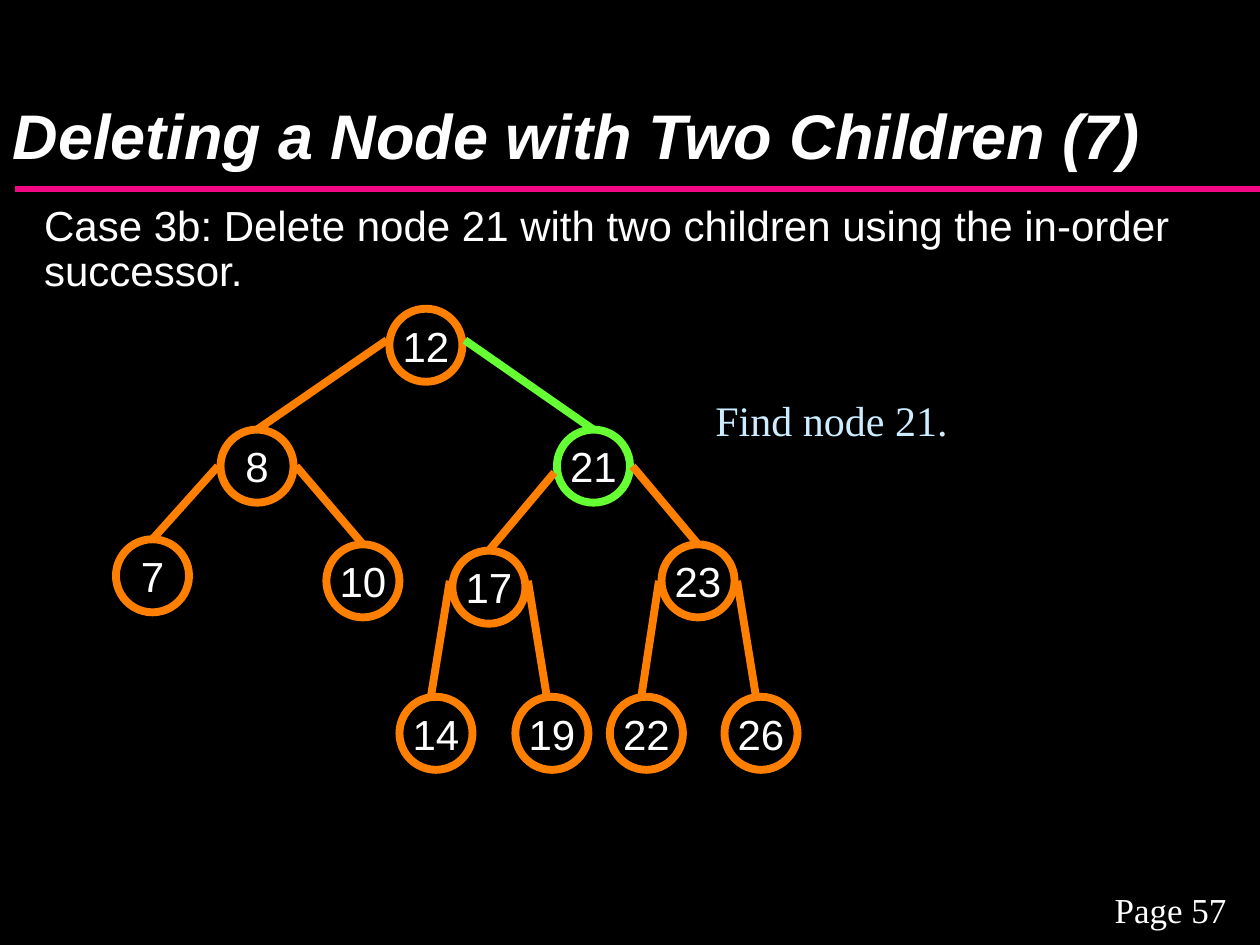
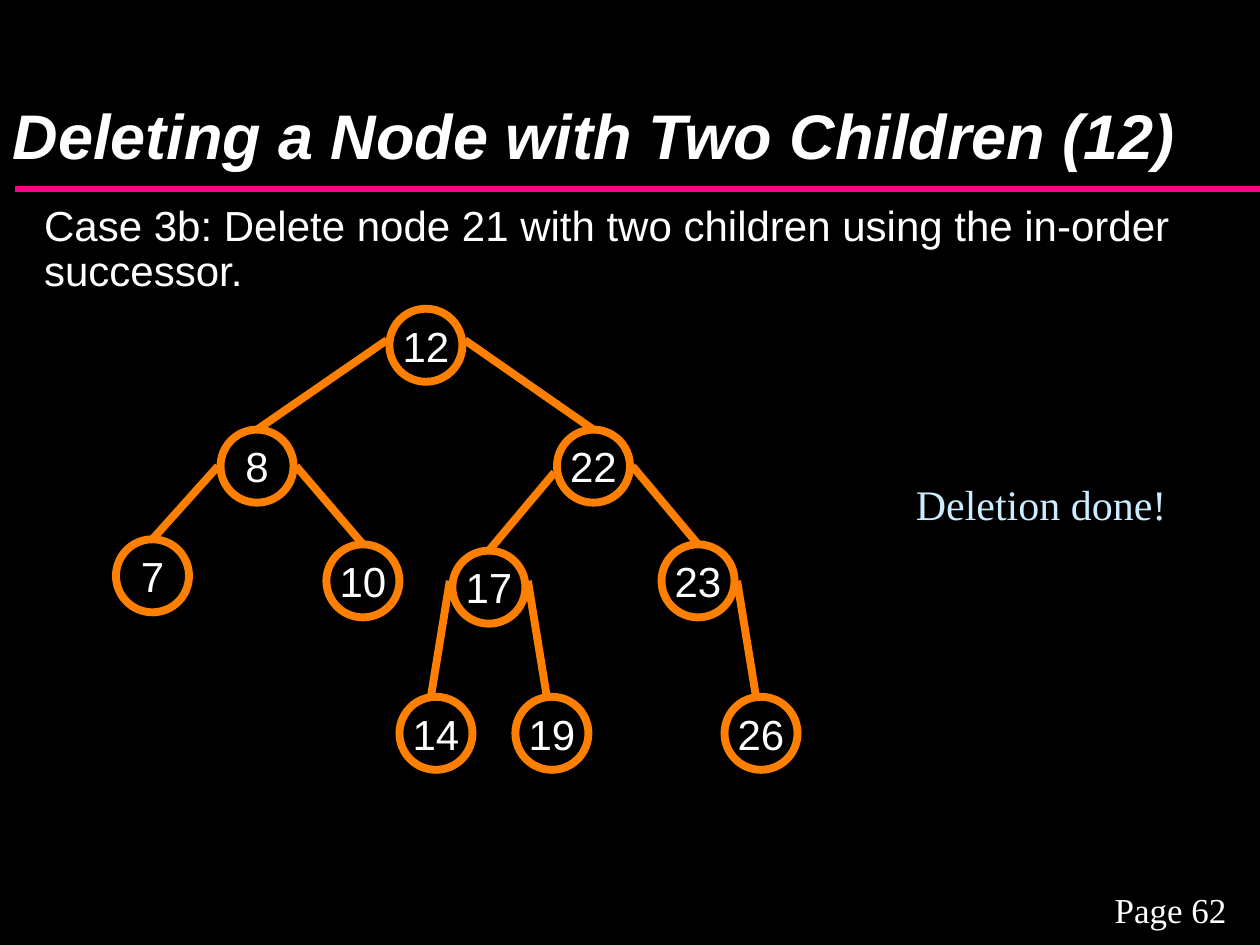
from pptx import Presentation
from pptx.dml.color import RGBColor
from pptx.enum.shapes import MSO_CONNECTOR, MSO_SHAPE
from pptx.enum.text import MSO_ANCHOR, MSO_AUTO_SIZE, PP_ALIGN
from pptx.oxml.ns import qn
from pptx.util import Inches, Pt

STRAIGHT, OVAL = MSO_CONNECTOR.STRAIGHT, MSO_SHAPE.OVAL
LEFT, CENTER = PP_ALIGN.LEFT, PP_ALIGN.CENTER
TOP, MIDDLE, BOTTOM = MSO_ANCHOR.TOP, MSO_ANCHOR.MIDDLE, MSO_ANCHOR.BOTTOM
NO_AUTOFIT = MSO_AUTO_SIZE.NONE

BLACK, WHITE, PINK = "000000", "FFFFFF", "F20884"
ORANGE, GREEN, PALE_BLUE = "FF8000", "66FF33", "CCECFF"
SANS, SERIF = "Arial", "Times New Roman"

TASK = "Case 3b: Delete node 21 with two children using the in-order successor."

NODE_SIZE = 0.58
SIDE_GAP = 0.02
STROKE = 4.5

# Top-left corner of each place in the tree, named by the path from the root.
PLACES = {
    "root": (3.09, 2.45),
    "L": (1.75, 3.41), "R": (4.42, 3.41),
    "LL": (0.92, 4.28), "LR": (2.59, 4.32),
    "RL": (3.59, 4.37), "RR": (5.25, 4.32),
    "RLL": (3.17, 5.53), "RLR": (4.09, 5.53),
    "RRL": (4.84, 5.53), "RRR": (5.75, 5.53),
}
# How far below the parent's top the edge to each child starts.
EDGE_DROPS = {
    "L": 0.25, "R": 0.25, "LL": 0.29, "LR": 0.29, "RL": 0.34, "RR": 0.29,
    "RLL": 0.24, "RLR": 0.24, "RRL": 0.29, "RRR": 0.29,
}
LEAF_LEAN = 0.04  # edges to the lowest row meet the circle left of its centre

TREE_BEFORE = {
    "root": "12", "L": "8", "R": "21", "LL": "7", "LR": "10", "RL": "17",
    "RR": "23", "RLL": "14", "RLR": "19", "RRL": "22", "RRR": "26",
}
TREE_AFTER = {place: key for place, key in TREE_BEFORE.items() if place != "RRL"}
TREE_AFTER["R"] = TREE_BEFORE["RRL"]


def color(hex_code):
    return RGBColor.from_string(hex_code)


def write_text(shape, text, *, size=24, font=SANS, ink=WHITE, bold=False,
               italic=False, align=LEFT, anchor=TOP, wrap=True,
               insets=(0.1, 0.05), line_spacing=None, no_bullet_indent=None):
    frame = shape.text_frame
    frame.auto_size = NO_AUTOFIT
    frame.word_wrap = wrap
    frame.vertical_anchor = anchor
    frame.margin_left = frame.margin_right = Inches(insets[0])
    frame.margin_top = frame.margin_bottom = Inches(insets[1])
    paragraph = frame.paragraphs[0]
    paragraph.alignment = align
    paragraph.space_before = Pt(0)
    if line_spacing:
        paragraph.line_spacing = line_spacing
    if no_bullet_indent is not None:
        properties = paragraph._p.get_or_add_pPr()
        properties.set("marL", str(Inches(no_bullet_indent)))
        properties.set("indent", "0")
        properties.append(properties.makeelement(qn("a:buNone"), {}))
    run = paragraph.add_run()
    run.text = text
    run.font.size = Pt(size)
    run.font.name = font
    run.font.color.rgb = color(ink)
    run.font.bold = bold
    run.font.italic = italic


def place_shape(shape, left, top, width, height):
    shape.left, shape.top = Inches(left), Inches(top)
    shape.width, shape.height = Inches(width), Inches(height)


def add_text(slide, text, box, **text_format):
    write_text(slide.shapes.add_textbox(*map(Inches, box)), text, **text_format)


def add_line(shapes, start, end, stroke_color, width):
    line = shapes.add_connector(STRAIGHT, *map(Inches, (*start, *end)))
    line.line.color.rgb = color(stroke_color)
    line.line.width = Pt(width)
    properties = line._element.spPr
    properties.append(properties.makeelement(qn("a:effectLst"), {}))


def add_node(shapes, key, place, stroke_color):
    left, top = PLACES[place]
    node = shapes.add_shape(OVAL, *map(Inches, (left, top, NODE_SIZE, NODE_SIZE)))
    node.shadow.inherit = False
    node.fill.background()
    node.line.color.rgb = color(stroke_color)
    node.line.width = Pt(STROKE)
    write_text(node, key, align=CENTER, anchor=MIDDLE, wrap=False, insets=(0, 0))


def add_edge(shapes, place, stroke_color):
    """Join the side of the parent to the top of the child at this place."""
    parent_left, parent_top = PLACES[place[:-1] or "root"]
    child_left, child_top = PLACES[place]
    side = -SIDE_GAP if place.endswith("L") else NODE_SIZE + SIDE_GAP
    lean = LEAF_LEAN if len(place) == 3 else 0
    add_line(shapes,
             (parent_left + side, parent_top + EDGE_DROPS[place]),
             (child_left + NODE_SIZE / 2 - lean, child_top),
             stroke_color, STROKE)


def add_tree(slide, keys, found=None):
    """Draw the tree, with the found place and the edge to it in green."""
    shapes = slide.shapes.add_group_shape().shapes
    strokes = {place: GREEN if place == found else ORANGE for place in keys}
    for place, key in keys.items():
        add_node(shapes, key, place, strokes[place])
    for place in keys:
        if place != "root":
            add_edge(shapes, place, strokes[place])


def add_step_slide(deck, step, page):
    """Add a slide with the title, rule, page number and task of the series."""
    slide = deck.slides.add_slide(deck.slide_layouts[1])
    add_line(slide.shapes, (0.12, 1.5), (10, 1.5), PINK, 3.75)
    add_text(slide, f"Page {page}", (8.58, 7, 1.42, 0.43),
             size=20, font=SERIF, align=CENTER)
    title, task = slide.placeholders
    place_shape(title, 0, 0, 10, 1.42)
    write_text(title, f"Deleting a Node with Two Children ({step})", size=36,
               bold=True, italic=True, anchor=BOTTOM, line_spacing=0.89)
    place_shape(task, 0, 1.58, 9.83, 5.42)
    write_text(task, TASK, line_spacing=0.89, no_bullet_indent=0.25)
    return slide


def add_remark(slide, text, box):
    add_text(slide, text, box, font=SERIF, ink=PALE_BLUE, anchor=MIDDLE, wrap=False)


def main():
    deck = Presentation()
    deck.slide_width, deck.slide_height = Inches(10), Inches(7.5)
    backdrop = deck.slide_master.background.fill
    backdrop.solid()
    backdrop.fore_color.rgb = color(BLACK)

    find_slide = add_step_slide(deck, step=7, page=57)
    add_tree(find_slide, TREE_BEFORE, found="R")
    add_remark(find_slide, "Find node 21.", (5.58, 3.08, 2.04, 0.5))

    done_slide = add_step_slide(deck, step=12, page=62)
    add_tree(done_slide, TREE_AFTER)
    add_remark(done_slide, "Deletion done!", (7.17, 3.75, 2.19, 0.5))

    deck.save("out.pptx")


if __name__ == "__main__":
    main()
